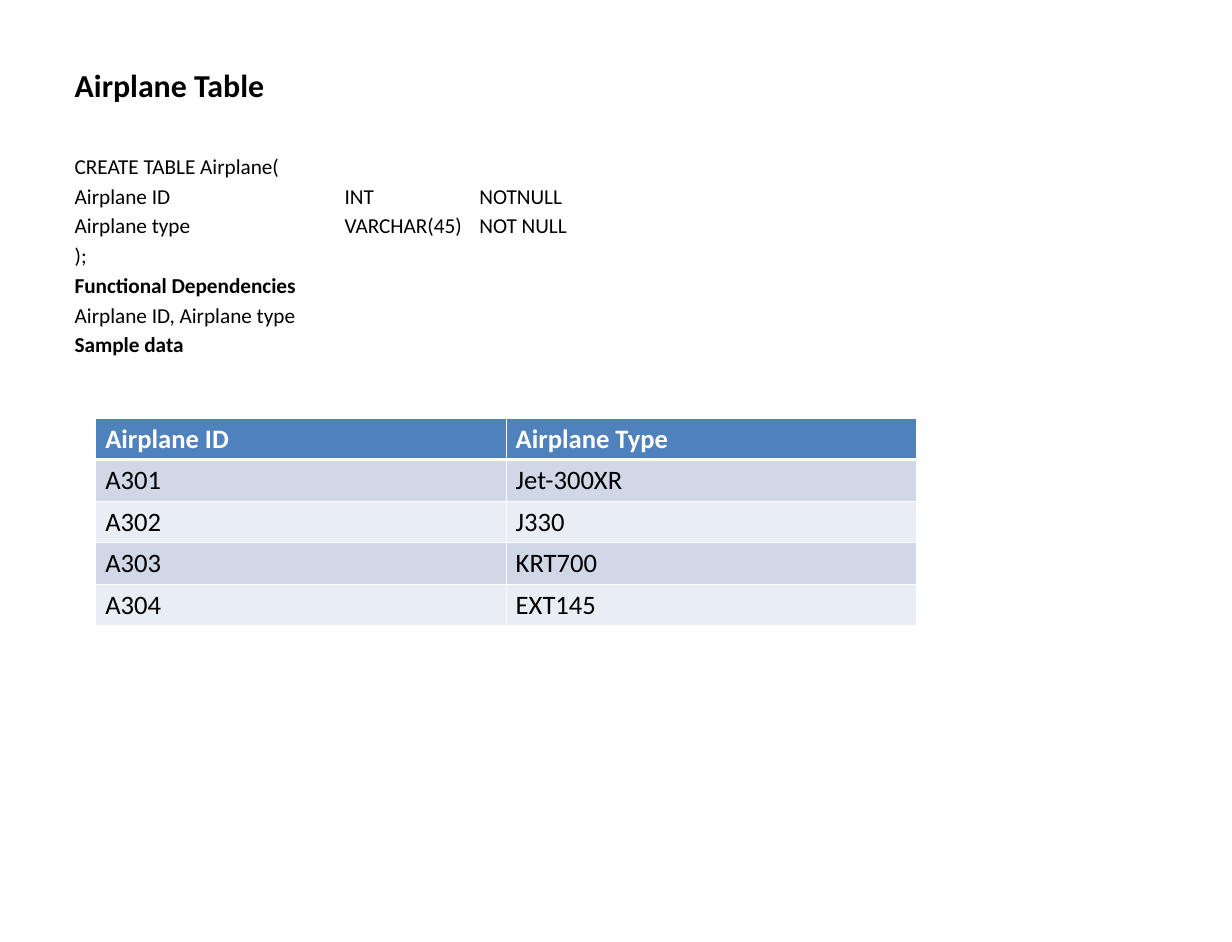
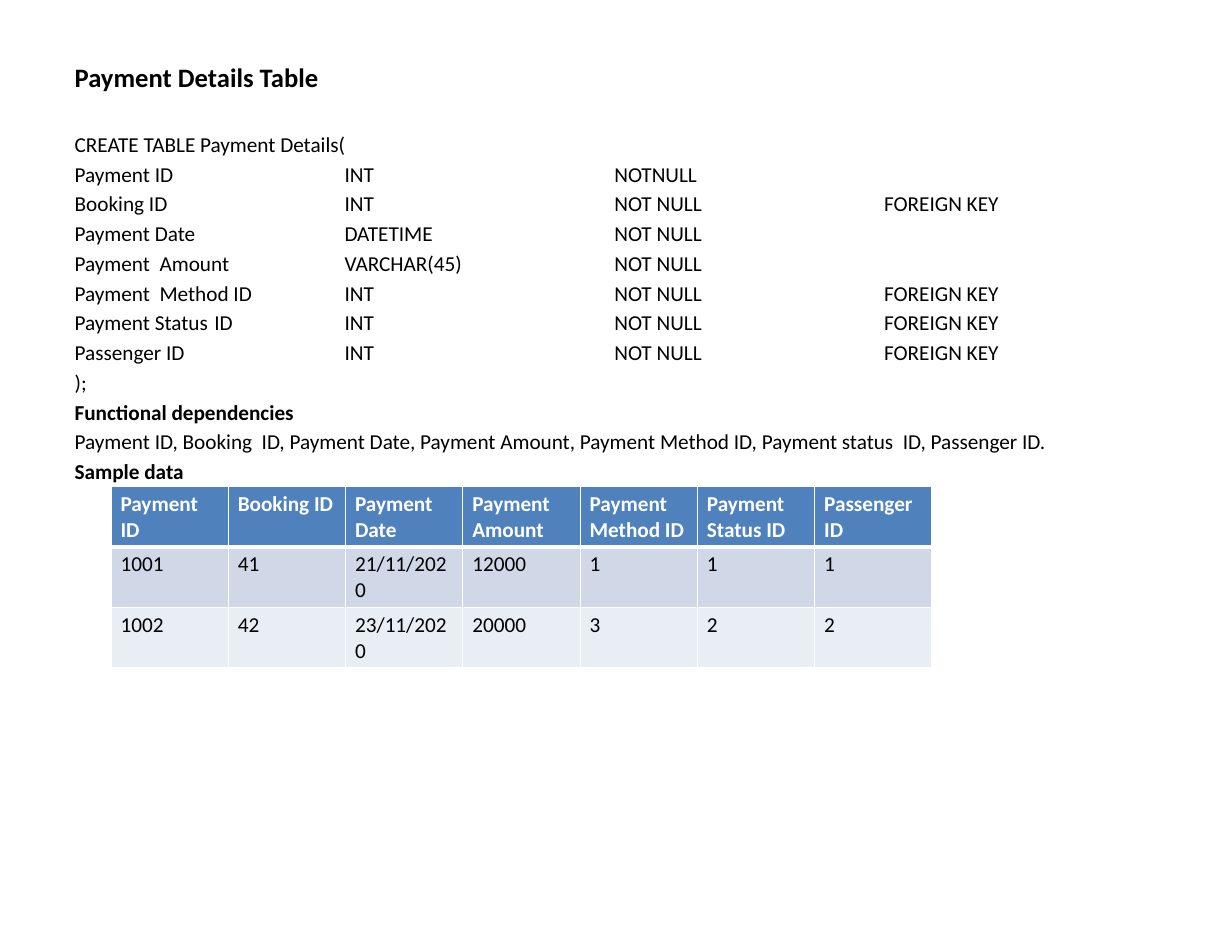
"""Build two slides that each describe a database table and its sample data."""
from pptx import Presentation
from pptx.dml.color import RGBColor
from pptx.enum.text import MSO_ANCHOR as Anchor
from pptx.oxml.ns import qn
from pptx.util import Inches, Pt
from lxml.etree import SubElement

BLACK = RGBColor(0x00, 0x00, 0x00)
WHITE = RGBColor(0xFF, 0xFF, 0xFF)
HEADER_BLUE = RGBColor(0x4F, 0x81, 0xBD)
BANDS = RGBColor(0xD0, 0xD8, 0xE8), RGBColor(0xE9, 0xED, 0xF4)

FONT = "Calibri"
TEXT_LEFT, TEXT_WIDTH = 0.64, 11.59
TAB_STEP, TAB_COUNT = 1.41, 6
TABLE_WIDTH, ROW_HEIGHT = 8.58, 0.41
THIN, THICK = 1, 3
FRAME = {
    "word_wrap": True,
    "margin_left": Inches(0.14),
    "margin_right": Inches(0.14),
    "margin_top": Inches(0.07),
    "margin_bottom": Inches(0.07),
}

AIRPLANE = {
    "title": "Airplane Table",
    "title_size": 24,
    "title_height": 0.98,
    "body_top": 1.53,
    "body_height": 7.26,
    "lines": [
        "CREATE TABLE Airplane(",
        "Airplane ID\t\tINT\tNOTNULL",
        "Airplane type\t\tVARCHAR(45)\tNOT NULL",
        ");",
        "Functional Dependencies",
        "Airplane ID, Airplane type",
        "Sample data",
    ],
    "table_at": (1, 4.37),
    "table_height": 2.17,
    "table_size": 20,
    "rows": [
        ["Airplane ID", "Airplane Type"],
        ["A301", "Jet-300XR"],
        ["A302", "J330"],
        ["A303", "KRT700"],
        ["A304", "EXT145"],
    ],
}
PAYMENT = {
    "title": "Payment Details Table",
    "title_size": 20,
    "title_height": 0.83,
    "body_top": 1.3,
    "body_height": 7.49,
    "lines": [
        "CREATE TABLE Payment Details(",
        "Payment ID\t\tINT\t\tNOTNULL",
        "Booking ID\t\tINT\t\tNOT NULL\t\tFOREIGN KEY",
        "Payment Date\t\tDATETIME \t\tNOT NULL",
        "Payment  Amount\tVARCHAR(45)\t\tNOT NULL",
        "Payment  Method ID\tINT\t\tNOT NULL\t\tFOREIGN KEY",
        "Payment Status\t ID\tINT\t\tNOT NULL\t\tFOREIGN KEY",
        "Passenger ID\t\tINT\t\tNOT NULL\t\tFOREIGN KEY",
        ");",
        "Functional dependencies",
        "Payment ID, Booking  ID, Payment Date, Payment Amount, "
        "Payment Method ID, Payment status  ID, Passenger ID.",
        "Sample data",
    ],
    "table_at": (1.16, 5.08),
    "table_height": 1.9,
    "table_size": 16,
    "rows": [
        ["Payment ID", "Booking ID", "Payment Date", "Payment\nAmount",
         "Payment\nMethod ID", "Payment\nStatus ID", "Passenger\nID"],
        ["1001", "41", "21/11/2020", "12000", "1", "1", "1"],
        ["1002", "42", "23/11/2020", "20000", "3", "2", "2"],
    ],
}
HEADINGS = {"functional dependencies", "sample data"}


def apply(target, values):
    for name, value in values.items():
        setattr(target, name, value)


def style_span(span, size, bold=False, color=BLACK):
    apply(span.font, {"name": FONT, "size": Pt(size), "bold": bold})
    span.font.color.rgb = color


def add_text_box(page, top, height, anchor):
    box = page.shapes.add_textbox(
        Inches(TEXT_LEFT), Inches(top), Inches(TEXT_WIDTH), Inches(height))
    apply(box.text_frame, {**FRAME, "vertical_anchor": anchor})
    return box.text_frame


def add_title(page, text, size, height):
    frame = add_text_box(page, 0.39, height, Anchor.MIDDLE)
    span = frame.paragraphs[0].add_run()
    span.text = text
    style_span(span, size, bold=True)


def add_tab_stops(para):
    stops = SubElement(para._p.get_or_add_pPr(), qn("a:tabLst"))
    for number in range(1, TAB_COUNT + 1):
        SubElement(stops, qn("a:tab"),
                   pos=str(Inches(TAB_STEP * number)), algn="l")


def add_body(page, lines, top, height):
    frame = add_text_box(page, top, height, Anchor.TOP)
    for index, line in enumerate(lines):
        para = frame.paragraphs[0] if index == 0 else frame.add_paragraph()
        para.space_before = Pt(3.2)
        add_tab_stops(para)
        span = para.add_run()
        span.text = line
        style_span(span, 16, bold=line.lower() in HEADINGS)


def add_borders(cell, top, bottom):
    widths = {"lnL": THIN, "lnR": THIN, "lnT": top, "lnB": bottom}
    for side, width in widths.items():
        line = SubElement(cell._tc.get_or_add_tcPr(), qn(f"a:{side}"),
                          w=str(Pt(width)))
        fill = SubElement(line, qn("a:solidFill"))
        SubElement(fill, qn("a:srgbClr"), val=str(WHITE))


def style_cell(cell, row, size):
    header = row == 0
    add_borders(cell, top=THICK if row == 1 else THIN,
                bottom=THICK if header else THIN)
    cell.fill.solid()
    cell.fill.fore_color.rgb = HEADER_BLUE if header else BANDS[(row - 1) % 2]
    for para in cell.text_frame.paragraphs:
        for span in para.runs:
            style_span(span, size, header, WHITE if header else BLACK)


def add_data_table(page, rows, at, height, size):
    left, top = at
    holder = page.shapes.add_table(
        len(rows), len(rows[0]), Inches(left), Inches(top),
        Inches(TABLE_WIDTH), Inches(height))
    for row, values in enumerate(rows):
        holder.table.rows[row].height = Inches(ROW_HEIGHT)
        for column, value in enumerate(values):
            cell = holder.table.cell(row, column)
            cell.text = value
            style_cell(cell, row, size)
    holder.height = Inches(height)


def add_page(deck, content):
    page = deck.slides.add_slide(deck.slide_layouts[6])
    add_title(page, content["title"], content["title_size"],
              content["title_height"])
    add_body(page, content["lines"], content["body_top"],
             content["body_height"])
    add_data_table(page, content["rows"], content["table_at"],
                   content["table_height"], content["table_size"])


def main():
    deck = Presentation()
    deck.slide_width = Pt(927)
    deck.slide_height = Pt(708.75)
    for content in (AIRPLANE, PAYMENT):
        add_page(deck, content)
    deck.save("out.pptx")


if __name__ == "__main__":
    main()
